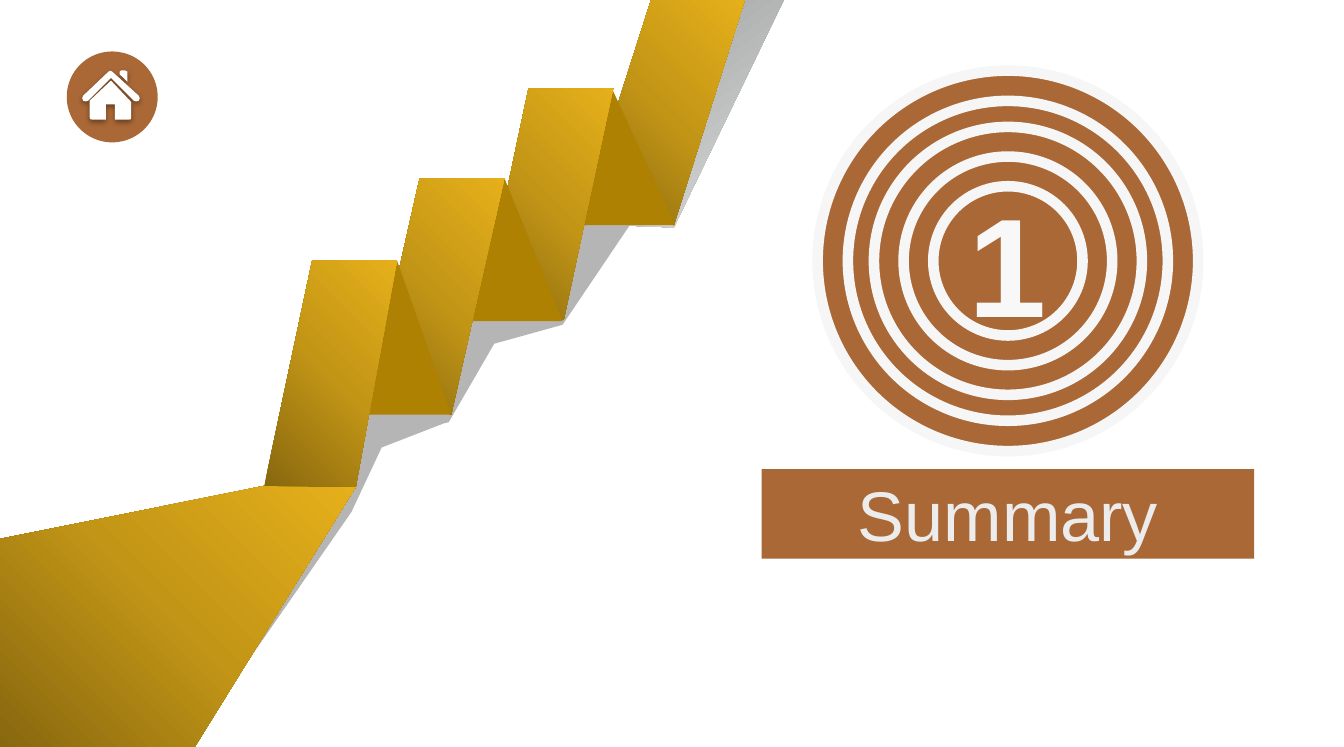
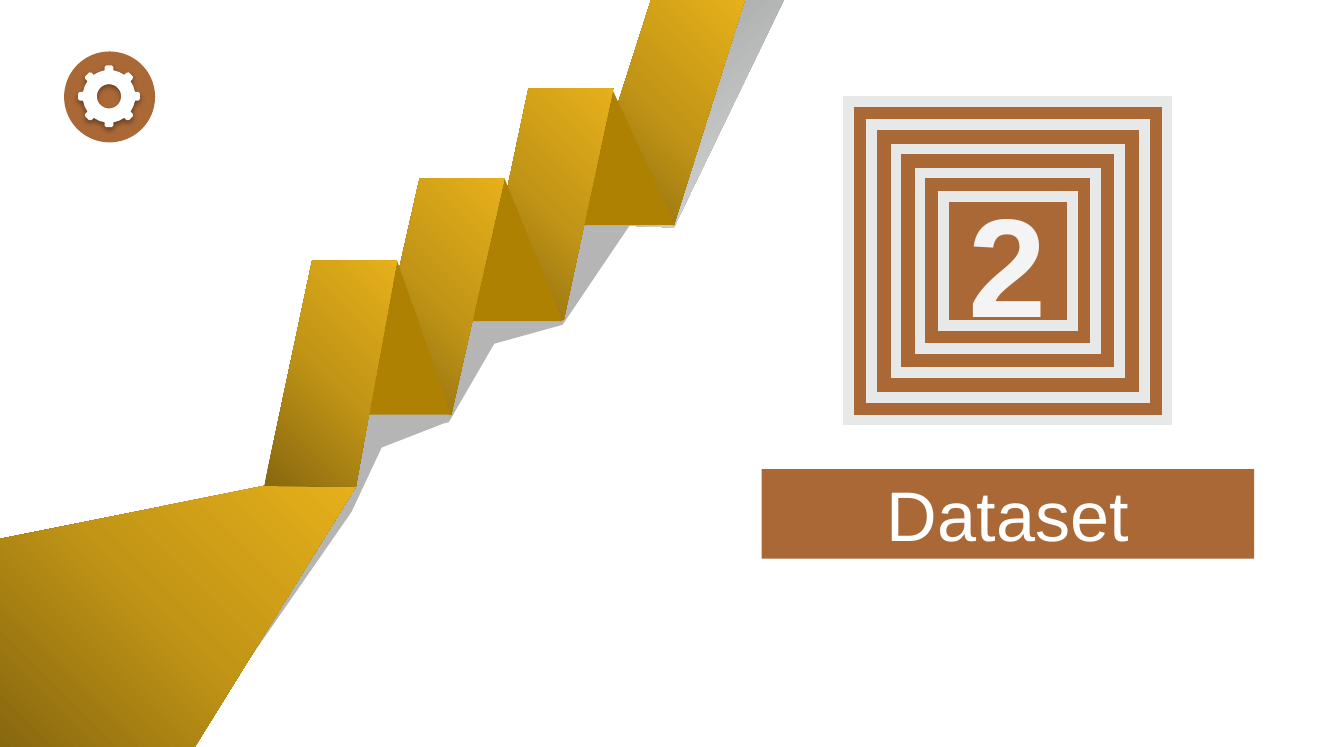
from math import cos, sin, radians

from lxml import etree
from pptx import Presentation
from pptx.dml.color import RGBColor
from pptx.enum import shapes, text
from pptx.oxml.ns import qn
from pptx.util import Pt

W, H = 765.4, 425.5
FONT = "Arial"
C = {
    "brown": "AA6837", "white": "FFFFFF", "fold": "AE8102",
    "shade": "B5B5B6", "shade_dark": "9FA0A0", "shade_light": "DBDCDC",
    "gold_dark": "88680F", "gold": "C29516", "gold_light": "E6B01A",
    "ring": "F6F6F6", "frame": "E7E9E8",
    "summary": "ECECEC", "one": "F8F8F8", "two": "F4F4F4", "black": "000000",
}
GOLD = ([(0, "gold_dark"), (50, "gold"), (100, "gold_light")], 315)
GREY = ([(0, "shade_dark"), (100, "shade_light")], 54)

# Ribbon outlines from back to front, in points from the ribbon's corner
RIBBON_SHADOW = [
    (GREY, [(347.8, 128.2), (384.5, 0), (446.4, 0), (383.8, 129.6)]),
    ("shade", [(320.4, 185), (360.7, 125.3), (385.9, 110.9), (372.2, 86.4),
               (332.6, 108), (313.2, 141.1), (311, 144.7), (312.5, 141.8),
               (276.5, 159.1), (253.4, 196.6), (221, 211), (162, 301),
               (67.7, 348.5), (0, 421.9), (107.3, H), (200.2, 291.6),
               (217.4, 254.9), (252.7, 241.2), (255.6, 240.5), (281.5, 195.8)]),
]
RIBBON = [
    (GOLD, [(334.1, 114.5), (370.8, 0), (424.1, 0), (383.8, 128.2)]),
    ("fold", [(348.5, 50.4), (384.5, 128.2), (330.5, 128.2)]),
    (GOLD, [(275.8, 169.2), (301, 50.4), (349.2, 50.4), (321.1, 182.2)]),
    ("fold", [(287.3, 101.5), (320.4, 182.9), (267.1, 182.9)]),
    (GOLD, [(211.7, 222.5), (239, 101.5), (287.3, 101.5), (257, 236.2)]),
    ("fold", [(226.1, 148.3), (257, 236.2), (203, 236.2)]),
    (GOLD, [(0, H), (0, 307), (150.5, 276.8), (202.7, 277.2), (110.9, H)]),
    (GOLD, [(150.5, 276.8), (177.8, 148.3), (226.1, 148.3), (202.7, 277.2)]),
]

# Icon outlines, in points from the badge's corner
BADGE = 51.8
CHIMNEY = [(34.6, 11.5), (33.1, 10.8), (31, 10.8), (30.2, 11.5), (30.2, 13),
           (34.6, 17.3)]
ROOF = [(41, 25.2), (25.9, 11.5), (24.8, 11), (23.8, 11.5), (9.4, 25.2),
        (8.8, 26.6), (9.4, 28.1), (10.8, 28.5), (12.2, 28.1), (25.2, 15.1),
        (38.2, 28.1), (39.6, 28.5), (41, 28.1), (41.6, 26.6)]
WALLS = [(13, 28.1), (13, 37.4), (13.4, 38.6), (15, 38.9), (22.3, 38.9),
         (22.3, 30.2), (27.4, 30.2), (27.4, 38.9), (35.3, 38.9), (36.5, 38.6),
         (36.7, 37.4), (36.7, 28.8), (25.2, 16.6)]
HOUSE = [CHIMNEY, ROOF, WALLS]


def rotated(points, degrees, centre):
    a = radians(degrees)
    return [(centre + x * cos(a) - y * sin(a), centre + x * sin(a) + y * cos(a))
            for x, y in points]


def gear(centre=25.6, teeth=8, hole=6.9):
    tooth = [(-2.5, 14.8), (-2.5, 16.6), (-1.6, 17.6),
             (1.6, 17.6), (2.5, 16.6), (2.5, 14.8)]
    step = 360 / teeth
    rim = []
    for i in range(teeth):
        rim += rotated(tooth, -i * step, centre)
        rim += rotated([(0, 15)], -(i + 0.5) * step, centre)
    bore = [rotated([(0, hole)], a, centre)[0] for a in range(0, 360, 10)]
    return [rim, bore]


def rgb(name):
    return RGBColor.from_string(C[name])


def paint(sp, fill, line=None, width=0):
    """Fill with a colour name or with (stops, clockwise angle)."""
    sp.shadow.inherit = False
    if isinstance(fill, str):
        sp.fill.solid()
        sp.fill.fore_color.rgb = rgb(fill)
    else:
        stops, angle = fill
        sp.fill.gradient()
        sp.fill.gradient_angle = 360 - angle
        gs_list = sp._element.spPr.find(".//" + qn("a:gsLst"))
        for gs in list(gs_list):
            gs_list.remove(gs)
        for pos, name in stops:
            gs = etree.SubElement(gs_list, qn("a:gs"), pos=str(pos * 1000))
            etree.SubElement(gs, qn("a:srgbClr"), val=C[name])
    if line:
        sp.line.color.rgb = rgb(line)
        sp.line.width = Pt(width)
        ln = sp._element.spPr.find(qn("a:ln"))
        etree.SubElement(ln, qn("a:miter"), lim="800000")
    else:
        sp.line.fill.background()


def outline(parent, contours, x, y, fill):
    (x0, y0), *_ = contours[0]
    fb = parent.shapes.build_freeform(Pt(x + x0), Pt(y + y0), scale=1.0)
    for i, contour in enumerate(contours):
        points = [(Pt(x + px), Pt(y + py)) for px, py in contour]
        if i:
            fb.move_to(*points[0])
        fb.add_line_segments(points[1:], close=True)
    sp = fb.convert_to_shape()
    paint(sp, fill)
    return sp


def preset(parent, kind, x, y, w, h, line=None):
    sp = parent.shapes.add_shape(kind, Pt(x), Pt(y), Pt(w), Pt(h))
    paint(sp, "brown", line, 6)
    return sp


def write(sp, words, size, color, bold=False):
    tf = sp.text_frame
    tf.text = words
    tf.word_wrap = False
    tf.vertical_anchor = text.MSO_ANCHOR.MIDDLE
    tf.margin_left = tf.margin_right = tf.margin_top = tf.margin_bottom = 0
    p = tf.paragraphs[0]
    p.alignment = text.PP_ALIGN.CENTER
    f = p.runs[0].font
    f.name, f.size, f.bold = FONT, Pt(size), bold
    f.color.rgb = rgb(color)


def drop_shadow(sp):
    effects = sp._element.spPr.find(qn("a:effectLst"))
    shadow = etree.SubElement(effects, qn("a:outerShdw"), blurRad=str(Pt(3.1)),
                              dist=str(Pt(1.6)), dir="5400000")
    color = etree.SubElement(shadow, qn("a:srgbClr"), val=C["black"])
    etree.SubElement(color, qn("a:alpha"), val="38000")


def ribbon(s, x, y):
    for layer in (RIBBON_SHADOW, RIBBON):
        grp = s.shapes.add_group_shape()
        for fill, points in layer:
            outline(grp, [points], x, y, fill)


def badge(s, x, y, icon):
    grp = s.shapes.add_group_shape()
    for inset in (0, 1):
        size = BADGE - 2 * inset
        preset(grp, shapes.MSO_SHAPE.OVAL, x + inset, y + inset, size, size)
    drop_shadow(outline(grp, icon, x, y, "white"))


def target(s, cx, cy, kind, sizes, line, number, color):
    """Nested outlines around one centre, with the number in the innermost."""
    for size in sizes:
        sp = preset(s, kind, cx - size / 2, cy - size / 2, size, size, line)
    write(sp, number, 80, color, bold=True)


def section_slide(prs, title, title_color, badge_x, icon, **rings):
    s = prs.slides.add_slide(prs.slide_layouts[6])
    write(preset(s, shapes.MSO_SHAPE.RECTANGLE, 433.8, 267.2, 280.4, 51),
          title, 40, title_color)
    target(s, 574, 148.6, **rings)
    badge(s, badge_x, 29.3, icon)
    ribbon(s, 0, 0)


def main():
    prs = Presentation()
    prs.slide_width, prs.slide_height = Pt(W), Pt(H)
    section_slide(prs, "Summary", "summary", 38, HOUSE,
                  kind=shapes.MSO_SHAPE.OVAL, line="ring",
                  sizes=[216.7, 182.2, 152.6, 118.8, 85],
                  number="1", color="one")
    section_slide(prs, "Dataset", "white", 36.5, gear(),
                  kind=shapes.MSO_SHAPE.RECTANGLE, line="frame",
                  sizes=[181.4, 155.5, 127.4, 100.1, 73.4],
                  number="2", color="two")
    prs.save("out.pptx")


if __name__ == "__main__":
    main()
